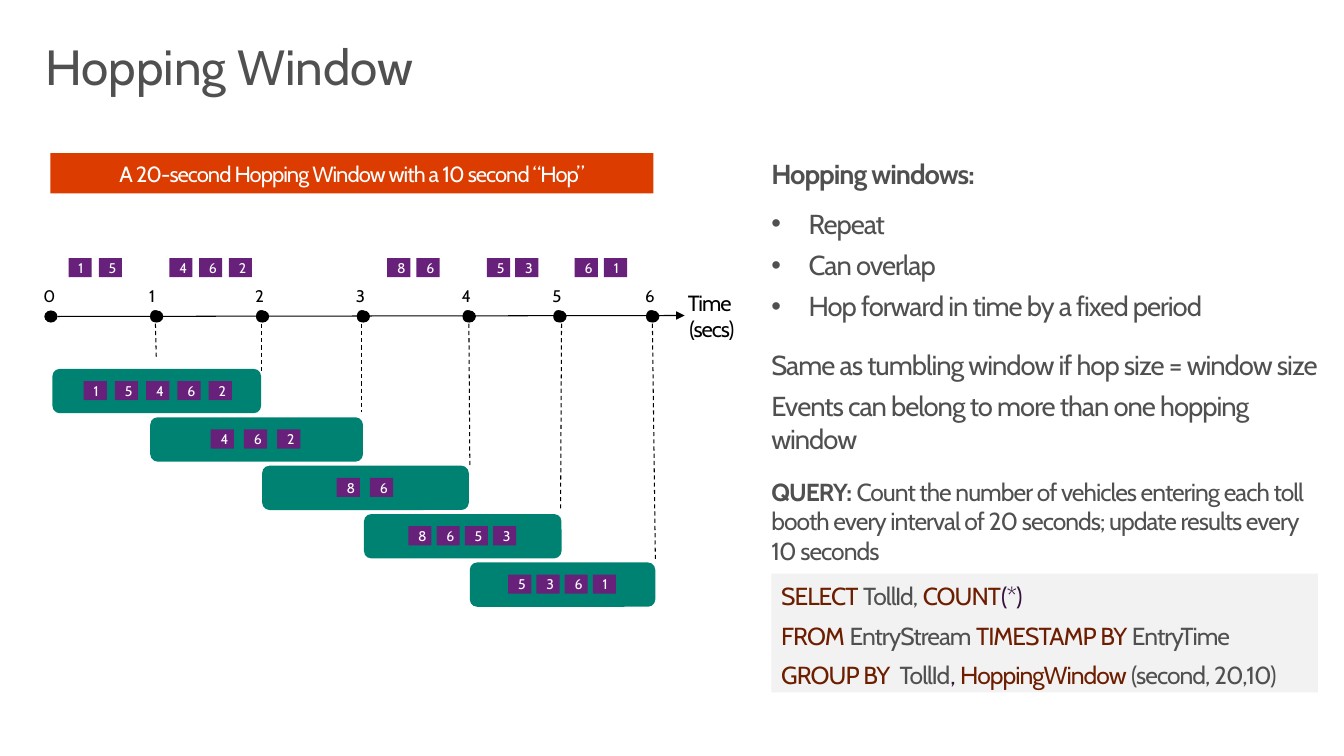
"""Build the slide that explains hopping windows."""
from collections import namedtuple

from lxml import etree
from pptx import Presentation
from pptx.dml.color import RGBColor
from pptx.enum.dml import MSO_LINE
from pptx.enum.shapes import MSO_CONNECTOR, MSO_SHAPE as SHAPE
from pptx.enum.text import MSO_ANCHOR as ANCHOR, MSO_AUTO_SIZE as FIT, PP_ALIGN as ALIGN
from pptx.oxml.ns import qn
from pptx.util import Inches, Pt

COLORS = {
    "text": "505050", "white": "FFFFFF", "black": "000000", "banner": "DC3C00",
    "event": "68217A", "window": "008272", "code": "F2F2F2",
    "keyword": "6E1E00", "symbol": "34103D",
}
Box = namedtuple("Box", "left top width height")
Span = namedtuple("Span", "text color bold", defaults=(None, False))
Line = namedtuple("Line", "spans before after bullet", defaults=(0, 0, False))
Events = namedtuple("Events", "left pitch digits")
Window = namedtuple("Window", "left right events")

TICKS = [0, 1.05, 2.1, 3.1, 4.15, 5.05, 5.97]
GUIDES = [(1.04, 1.05, 2.03), (2.09, 2.09, 2.16), (3.09, 3.09, 2.57),
          (4.15, 4.16, 3.1), (5.07, 5.06, 3.54), (5.97, 6, 4.03)]
ARRIVALS = [Events(0.18, 0.3, "15"), Events(1.18, 0.295, "462"), Events(3.34, 0.29, "86"),
            Events(4.33, 0.28, "53"), Events(5.2, 0.29, "61")]
WINDOWS = [
    Window(0.02, 2.09, Events(0.33, 0.31, "15462")),
    Window(0.99, 3.1, Events(1.59, 0.33, "462")),
    Window(2.1, 4.15, Events(2.84, 0.33, "86")),
    Window(3.11, 5.07, Events(3.55, 0.28, "8653")),
    Window(4.16, 6, Events(4.54, 0.28, "5361")),
]


def rgb(name):
    """Return the named colour."""
    return RGBColor.from_string(COLORS[name])


def write(shape, lines, size=12, color="text", align=ALIGN.LEFT, anchor=ANCHOR.TOP,
          inset=(0, 0), wrap=True, grow=False, spacing=None, tracking=-70):
    """Fill a shape with formatted lines of text."""
    frame = shape.text_frame
    frame.word_wrap = wrap
    frame.auto_size = FIT.SHAPE_TO_FIT_TEXT if grow else FIT.NONE
    frame.vertical_anchor = anchor
    frame.margin_left = frame.margin_right = Inches(inset[0])
    frame.margin_top = frame.margin_bottom = Inches(inset[1])
    for index, line in enumerate(lines):
        para = frame.add_paragraph() if index else frame.paragraphs[0]
        if line.bullet:
            properties = para._p.get_or_add_pPr()
            properties.set("marL", str(Inches(0.37)))
            properties.set("indent", str(-Inches(0.37)))
            font = etree.SubElement(properties, qn("a:buFont"))
            font.set("typeface", "Arial")
            etree.SubElement(properties, qn("a:buChar")).set("char", "•")
        para.alignment = align
        para.space_before, para.space_after = Pt(line.before), Pt(line.after)
        if spacing:
            para.line_spacing = spacing
        for span in line.spans:
            run = para.add_run()
            run.text = span.text
            run.font.name, run.font.size, run.font.bold = "Cabin", Pt(size), span.bold
            run.font.color.rgb = rgb(span.color or color)
            if tracking:
                run._r.get_or_add_rPr().set("spc", str(tracking))


def plain(text, **options):
    """Return a line with a single span."""
    return Line([Span(text)], **options)


def add_text(page, box, lines, **style):
    """Add a text box."""
    write(page.shapes.add_textbox(*map(Inches, box)), lines, **style)


def add_block(page, kind, box, fill):
    """Add a flat filled shape."""
    shape = page.shapes.add_shape(kind, *map(Inches, box))
    shape.shadow.inherit = False
    shape.fill.solid()
    shape.fill.fore_color.rgb = rgb(fill)
    shape.line.fill.background()
    return shape


def add_line(page, start, end, dashed=False, arrow=False):
    """Add a thin black line."""
    line = page.shapes.add_connector(MSO_CONNECTOR.STRAIGHT, *map(Inches, (*start, *end)))
    line.line.color.rgb = rgb("black")
    line.line.width = Pt(0.75)
    if dashed:
        line.line.dash_style = MSO_LINE.DASH
    if arrow:
        tail = etree.SubElement(line.line._get_or_add_ln(), qn("a:tailEnd"))
        tail.set("type", "triangle")
    etree.SubElement(line._element.spPr, qn("a:effectLst"))


def add_events(page, left, top, events):
    """Add a row of numbered events."""
    for index, digit in enumerate(events.digits):
        box = Box(left + events.left + index * events.pitch, top, 0.23, 0.19)
        write(add_block(page, SHAPE.RECTANGLE, box, "event"), [plain(digit)], size=10,
              color="white", align=ALIGN.CENTER, anchor=ANCHOR.MIDDLE, inset=(0.1, 0.05),
              tracking=0)


def add_axis(page, box):
    """Add the time axis with its ticks, labels and guides."""
    left, top = box.left, box.top
    add_line(page, (left + 0.07, top + 1.62), (left + 6.29, top + 1.61), arrow=True)
    for start, end, bottom in GUIDES:
        add_line(page, (left + start, top + 1.62), (left + end, top + bottom), dashed=True)
    for index, tick in enumerate(TICKS):
        dot = Box(left + tick - 0.06, top + 1.56, 0.13, 0.12)
        add_block(page, SHAPE.OVAL, dot, "black")
        label = str(index * 10)
        add_text(page, Box(dot.left - 0.01, top + 1.31, 0.08 * len(label), 0.2),
                 [plain(label)], color="black", wrap=False, grow=True)
    add_text(page, Box(left + 6.29, top + 1.35, 0.5, 0.53), [plain("Time"), plain(" (secs)")],
             size=15.7, color="black", align=ALIGN.CENTER, wrap=False, grow=True)


def add_timeline(page, box):
    """Add the banner, the axis, the arrivals and the windows."""
    banner = add_block(page, SHAPE.RECTANGLE, Box(box.left, box.top, 5.98, 0.4), "banner")
    write(banner, [plain("A 20-second Hopping Window with a 10 second “Hop”")], size=15.7,
          color="white", align=ALIGN.CENTER, anchor=ANCHOR.MIDDLE, inset=(0.1, 0.05))
    for events in ARRIVALS:
        add_events(page, box.left, box.top + 1.04, events)
    for index, window in enumerate(WINDOWS):
        top = box.top + 2.14 + index * 0.48
        bar = Box(box.left + window.left, top, window.right - window.left, 0.44)
        add_block(page, SHAPE.ROUNDED_RECTANGLE, bar, "window")
        add_events(page, box.left, top + 0.12, window.events)
    add_axis(page, box)


def add_explanation(page, box):
    """Add the properties of hopping windows, the task and its query."""
    bullets = ["Repeat", "Can overlap", "Hop forward in time by a fixed period"]
    add_text(page, Box(box.left, box.top, box.width, 2.98), [
        Line([Span("Hopping windows:", bold=True)], after=12),
        *[plain(text, after=6, bullet=True) for text in bullets],
        plain("Same as tumbling window if hop size = window size", before=12, after=6),
        plain("Events can belong to more than one hopping window", after=12),
    ], size=19.6, grow=True)
    add_text(page, Box(box.left, box.top + 3.17, 5.42, 0.89), [Line([
        Span("QUERY: ", bold=True),
        Span("Count the number of vehicles entering each toll booth every interval of "
             "20 seconds; update results every 10 seconds"),
    ])], size=17.6, grow=True)
    panel = add_block(page, SHAPE.RECTANGLE, Box(box.left, box.top + 4.13, 5.42, 1.18), "code")
    write(panel, [
        Line([Span("SELECT ", "keyword"), Span("TollId, "), Span("COUNT", "keyword"),
              Span("(*)", "symbol")], after=4),
        Line([Span("FROM ", "keyword"), Span("EntryStream "),
              Span("TIMESTAMP BY ", "keyword"), Span("EntryTime")], after=4),
        Line([Span("GROUP BY  ", "keyword"), Span("TollId"), Span(", ", "symbol"),
              Span("HoppingWindow ", "keyword"), Span("(second, 20,10)")], after=4),
    ], size=17.6, anchor=ANCHOR.MIDDLE, inset=(0.1, 0.05), spacing=1.15)


def main():
    """Build and save the deck."""
    deck = Presentation()
    deck.slide_width, deck.slide_height = Inches(13.33), Inches(7.5)
    page = deck.slides.add_slide(deck.slide_layouts[6])
    add_text(page, Box(0.29, 0.32, 12.75, 0.98), [plain("Hopping Window")], size=35.3,
             inset=(0.16, 0.1), spacing=0.9, tracking=0)
    add_timeline(page, Box(0.5, 1.52, 6.79, 4.51))
    add_explanation(page, Box(7.65, 1.56, 5.57, 5.31))
    deck.save("out.pptx")


if __name__ == "__main__":
    main()
